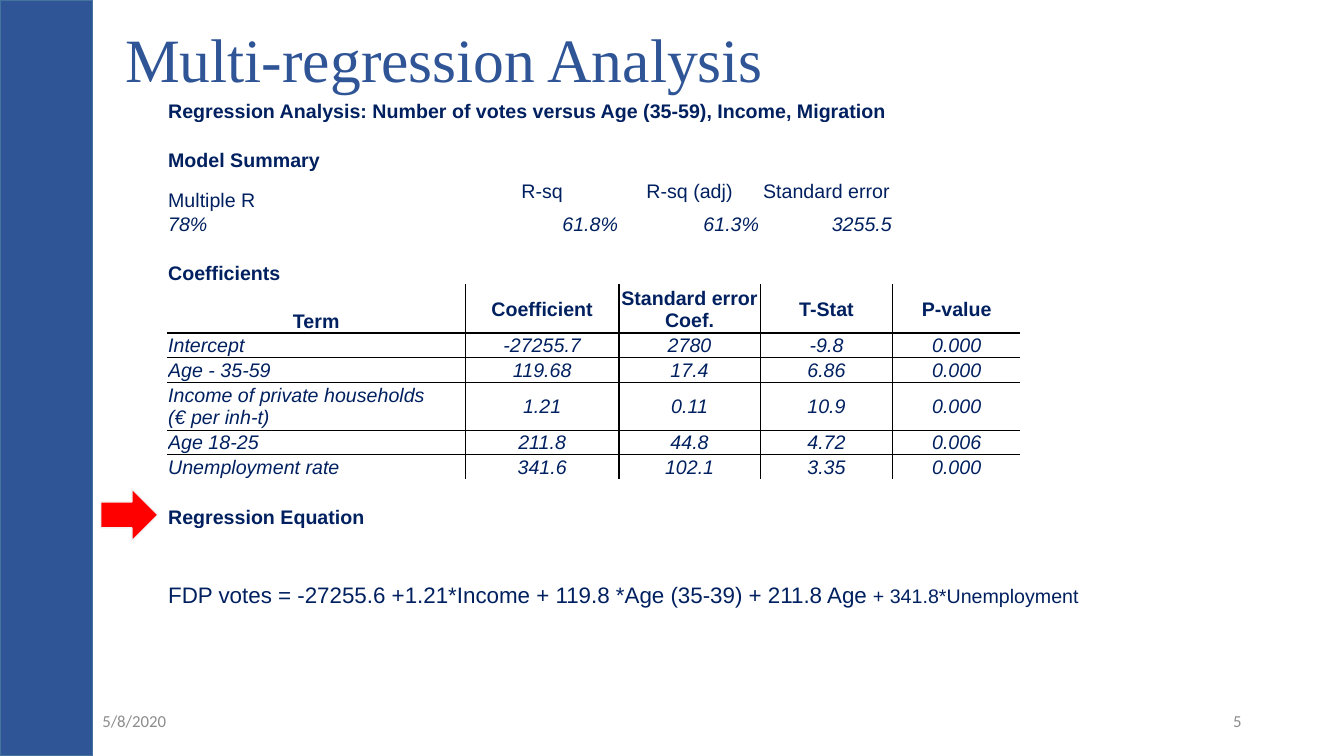
from dataclasses import dataclass
from typing import Any

import lxml.etree
import pptx
import pptx.dml.color
import pptx.enum.shapes
import pptx.enum.text
import pptx.oxml.ns
import pptx.util

ALIGN = pptx.enum.text.PP_ALIGN
ANCHOR = pptx.enum.text.MSO_ANCHOR
SHAPE = pptx.enum.shapes.MSO_SHAPE
UNIT = pptx.util.Inches(1 / 12)
GRID_COLUMNS, GRID_ROWS = 160, 90
NAVY, BLUE, WHITE, BLACK = "002060", "2F5597", "FFFFFF", "000000"


@dataclass(frozen=True)
class Box:
    left: float
    top: float
    width: float
    height: float

    def lengths(self) -> list[int]:
        return [span(n) for n in (self.left, self.top, self.width, self.height)]


@dataclass(frozen=True)
class Block:
    kind: Any
    box: Box
    fill: str
    line: str


@dataclass(frozen=True)
class Footer:
    text: str
    box: Box
    align: Any


@dataclass(frozen=True)
class Entry:
    row: int
    column: int
    text: str
    align: Any = ALIGN.LEFT
    anchor: Any = ANCHOR.BOTTOM
    bold: bool = False
    italic: bool = False
    size: int = 14
    tail: str = ""


def span(units: float) -> int:
    return round(units * UNIT)


def rgb(code: str) -> pptx.dml.color.RGBColor:
    return pptx.dml.color.RGBColor.from_string(code)


def apply(target: Any, values: dict[str, Any]) -> None:
    for name, value in values.items():
        setattr(target, name, value)


def add_run(paragraph: Any, text: str, color: str, values: dict[str, Any]) -> None:
    run = paragraph.add_run()
    run.text = text
    apply(run.font, values)
    run.font.color.rgb = rgb(color)


def draw_block(slide: Any, block: Block) -> None:
    shape = slide.shapes.add_shape(block.kind, *block.box.lengths())
    shape.shadow.inherit = False
    shape.fill.solid()
    shape.fill.fore_color.rgb = rgb(block.fill)
    shape.line.color.rgb = rgb(block.line)
    shape.line.width = pptx.util.Pt(1)


def draw_footer(slide: Any, footer: Footer) -> None:
    frame = slide.shapes.add_textbox(*footer.box.lengths()).text_frame
    apply(frame, {"word_wrap": True, "vertical_anchor": ANCHOR.MIDDLE})
    frame.paragraphs[0].alignment = footer.align
    add_run(frame.paragraphs[0], footer.text, "8C8C8C",
            {"name": "Calibri", "size": pptx.util.Pt(12)})


def draw_title(slide: Any, text: str, box: Box) -> None:
    title = slide.shapes.title
    apply(title, dict(zip(("left", "top", "width", "height"), box.lengths())))
    apply(title.text_frame, {"word_wrap": True, "vertical_anchor": ANCHOR.MIDDLE,
                             "auto_size": pptx.enum.text.MSO_AUTO_SIZE.NONE})
    apply(title.text_frame.paragraphs[0], {"alignment": ALIGN.LEFT, "line_spacing": 0.9})
    add_run(title.text_frame.paragraphs[0], text, BLUE,
            {"name": "Times New Roman", "size": pptx.util.Pt(44)})


def add_borders(cell: Any, ruled: dict[str, bool]) -> None:
    qn = pptx.oxml.ns.qn
    properties = cell._tc.get_or_add_tcPr()
    for side, black in ruled.items():
        line = lxml.etree.SubElement(properties, qn(f"a:ln{side}"), w=str(pptx.util.Pt(1)))
        fill = lxml.etree.SubElement(line, qn("a:solidFill"))
        lxml.etree.SubElement(fill, qn("a:srgbClr"), val=BLACK if black else WHITE)


def format_cell(cell: Any, row: int, column: int) -> None:
    inside = HEADER_ROW <= row <= LAST_TERM_ROW and column <= P_VALUE_COLUMN
    add_borders(cell, {
        "L": inside and column > 0,
        "R": inside and column < P_VALUE_COLUMN,
        "T": inside and row > HEADER_ROW,
        "B": inside and row < LAST_TERM_ROW,
    })
    edge = pptx.util.Inches(0.01)
    apply(cell, {"margin_left": edge, "margin_right": edge, "margin_top": edge,
                 "margin_bottom": 0})
    cell.fill.solid()
    cell.fill.fore_color.rgb = rgb(WHITE)
    lxml.etree.SubElement(cell.text_frame.paragraphs[0]._p,
                          pptx.oxml.ns.qn("a:endParaRPr"), sz="1400")


def fill_cell(table: Any, entry: Entry) -> None:
    cell = table.cell(entry.row, entry.column)
    cell.vertical_anchor = entry.anchor
    values = {"name": "Arial", "bold": entry.bold, "italic": entry.italic}
    for number, text in enumerate(entry.text.split("\n")):
        frame = cell.text_frame
        paragraph = frame.add_paragraph() if number else frame.paragraphs[0]
        paragraph.alignment = entry.align
        add_run(paragraph, text, NAVY, values | {"size": pptx.util.Pt(entry.size)})
        if entry.tail:
            add_run(paragraph, entry.tail, NAVY, values | {"size": pptx.util.Pt(14)})


def draw_regression(slide: Any, left: float, top: float) -> None:
    box = Box(left, top, sum(COLUMN_WIDTHS), sum(ROW_HEIGHTS))
    table = slide.shapes.add_table(len(ROW_HEIGHTS), len(COLUMN_WIDTHS), *box.lengths()).table
    apply(table, {"first_row": False, "horz_banding": False})
    for column, width in zip(table.columns, COLUMN_WIDTHS):
        column.width = span(width)
    for row, height in zip(table.rows, ROW_HEIGHTS):
        row.height = span(height)
    for row in range(len(ROW_HEIGHTS)):
        for column in range(len(COLUMN_WIDTHS)):
            format_cell(table.cell(row, column), row, column)
        first, last = MERGES.get(row, (1, 2))
        table.cell(row, first).merge(table.cell(row, last))
    for entry in ENTRIES:
        fill_cell(table, entry)


HEADER_ROW, LAST_TERM_ROW, P_VALUE_COLUMN, EQUATION_ROW = 7, 12, 5, 16
COLUMN_WIDTHS = [35.5, 1.9, 16.4, 16.8, 15.8] + [15.2] * 3
ROW_HEIGHTS = ([2.88] * 3 + [4.68] + [2.88] * 3 + [5.52]
               + [2.74, 2.74, 5.4, 2.74, 2.74] + [2.88, 2.88, 3.24, 6.24, 2.88])
MERGES = {0: (0, 6), EQUATION_ROW: (0, 6), 17: (0, 1)}
VALUE_COLUMNS = (0, 1, 3, 4, 5)

HEADINGS = {
    0: "Regression Analysis: Number of votes versus Age (35-59), Income, Migration",
    2: "Model Summary",
    6: "Coefficients",
    14: "Regression Equation",
}
SUMMARY = [("Multiple R", "78%"), ("R-sq", "61.8%"), ("R-sq (adj)", "61.3%"),
           ("Standard error", "3255.5")]
TERMS = [
    ("Term", "Coefficient", "Standard error Coef.", "T-Stat", "P-value"),
    ("Intercept", "-27255.7", "2780", "-9.8", "0.000"),
    ("Age - 35-59", "119.68", "17.4", "6.86", "0.000"),
    ("Income of private households\n(€ per inh-t)", "1.21", "0.11", "10.9", "0.000"),
    ("Age 18-25", "211.8", "44.8", "4.72", "0.006"),
    ("Unemployment rate", "341.6", "102.1", "3.35", "0.000"),
]

ENTRIES = [Entry(row, 0, text, bold=True) for row, text in HEADINGS.items()]
for place, (label, value) in zip(VALUE_COLUMNS, SUMMARY):
    ENTRIES += [
        Entry(3, place, label, ALIGN.CENTER if place else ALIGN.LEFT,
              ANCHOR.MIDDLE if place else ANCHOR.BOTTOM),
        Entry(4, place, value, ALIGN.RIGHT if place else ALIGN.LEFT, italic=True),
    ]
for term_row, term in enumerate(TERMS, HEADER_ROW):
    heading = term_row == HEADER_ROW
    ENTRIES += [
        Entry(term_row, place, text,
              ALIGN.CENTER if heading or place else ALIGN.LEFT,
              ANCHOR.BOTTOM if heading and not place else ANCHOR.MIDDLE,
              bold=heading, italic=not heading)
        for place, text in zip(VALUE_COLUMNS, term)
    ]
ENTRIES.append(Entry(
    EQUATION_ROW, 0, "FDP votes = -27255.6 +1.21*Income + 119.8 *Age (35-39) + 211.8 Age",
    size=16, tail=" + 341.8*Unemployment"))

deck = pptx.Presentation()
apply(deck, {"slide_width": span(GRID_COLUMNS), "slide_height": span(GRID_ROWS)})
analysis = deck.slides.add_slide(deck.slide_layouts[5])
for footer in (Footer("5/8/2020", Box(11, 83.4, 36, 4.8), ALIGN.LEFT),
               Footer("5", Box(113, 83.4, 36, 4.8), ALIGN.RIGHT)):
    draw_footer(analysis, footer)
draw_regression(analysis, 19.9, 11.7)
for block in (Block(SHAPE.RECTANGLE, Box(0, 0, 11, GRID_ROWS), BLUE, "43739E"),
              Block(SHAPE.RIGHT_ARROW, Box(12, 58.2, 6.8, 6.2), "FF0000", "F2F2F2")):
    draw_block(analysis, block)
draw_title(analysis, "Multi-regression Analysis", Box(13.7, 2, 135.4, 10.9))
deck.save("out.pptx")
